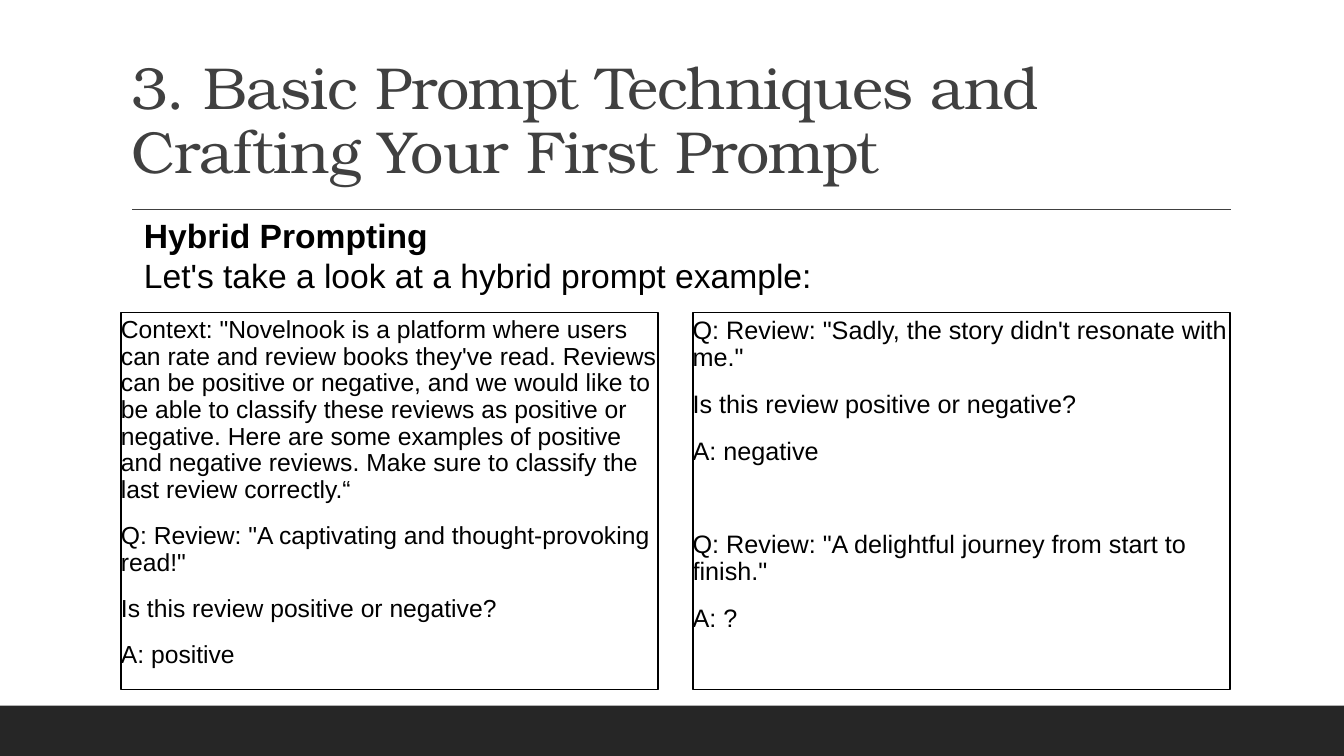
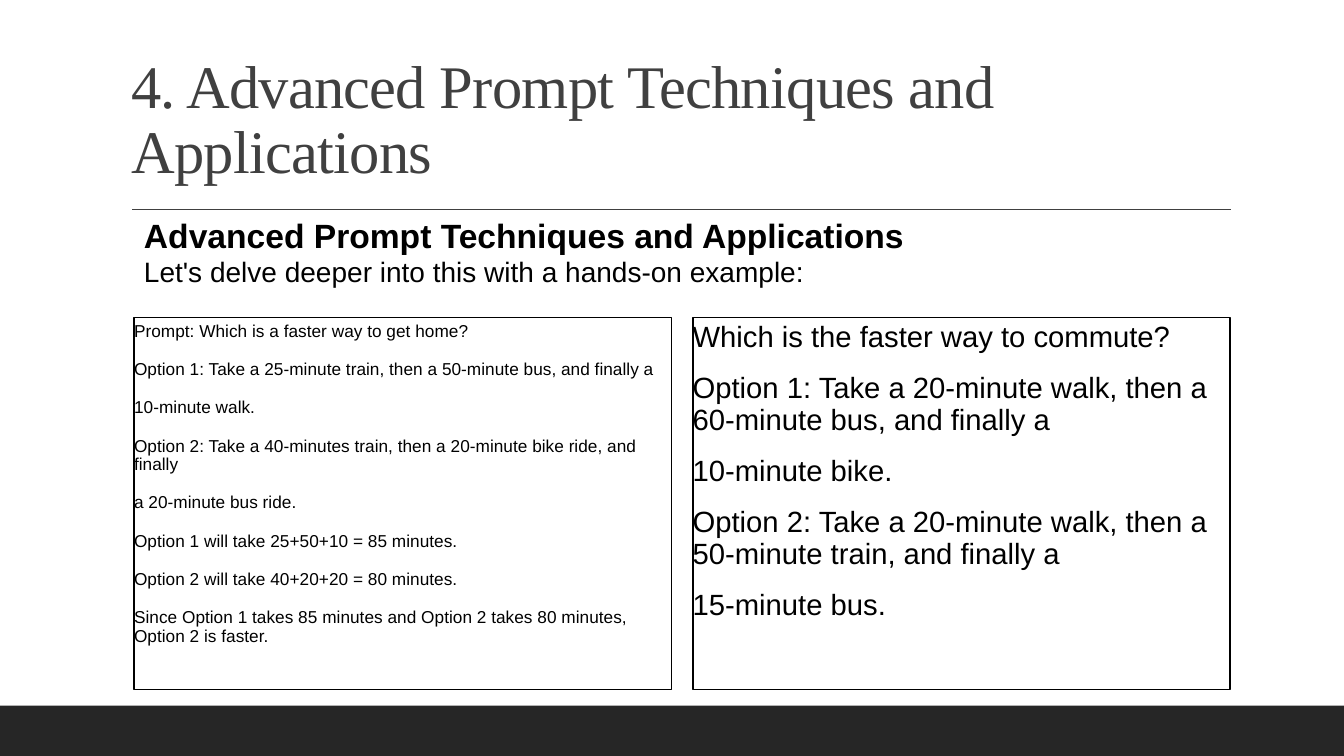
from lxml import etree
from pptx import Presentation
from pptx.dml.color import RGBColor
from pptx.enum import shapes, text
from pptx.oxml.ns import qn
from pptx.util import Inches, Pt

COLORS = {"band": "262626", "title": "404040", "text": "000000", "paper": "FFFFFF"}
BODY_FONT = "Arial"
SLIDE_W, SLIDE_H = 13.33, 7.5
BAND_H = 0.5
BOX_W, BOX_BOTTOM, RIGHT_BOX_X = 5.33, 6.84, 6.87

# Each example paragraph is text, or (text, space before in points)
SLIDES = [
    {
        "title": "3. Basic Prompt Techniques and Crafting Your First Prompt",
        "title_font": "TeX Gyre Bonum", "title_size": 42.3,
        "topic": "Hybrid Prompting",
        "lead": "Let's take a look at a hybrid prompt example:", "lead_size": 24,
        "left_x": 1.2, "box_y": 3.1, "left_size": 17.6, "right_size": 18,
        "left": [
            "Context: \"Novelnook is a platform where users can rate and review "
            "books they've read. Reviews can be positive or negative, and we would "
            "like to be able to classify these reviews as positive or negative. "
            "Here are some examples of positive and negative reviews. Make sure to "
            "classify the last review correctly.“",
            "Q: Review: \"A captivating and thought-provoking read!\"",
            "Is this review positive or negative?",
            "A: positive",
        ],
        "right": [
            "Q: Review: \"Sadly, the story didn't resonate with me.\"",
            "Is this review positive or negative?",
            "A: negative",
            ("Q: Review: \"A delightful journey from start to finish.\"", 45),
            "A: ?",
        ],
    },
    {
        "title": "4. Advanced Prompt Techniques and Applications",
        "title_font": "Times New Roman", "title_size": 43.2,
        "topic": "Advanced Prompt Techniques and Applications",
        "lead": "Let's delve deeper into this with a hands-on example:", "lead_size": 20,
        "left_x": 1.33, "box_y": 3.15, "left_size": 12.3, "right_size": 20.9,
        "left": [
            "Prompt: Which is a faster way to get home?",
            "Option 1: Take a 25-minute train, then a 50-minute bus, and finally a",
            "10-minute walk.",
            "Option 2: Take a 40-minutes train, then a 20-minute bike ride, and finally",
            "a 20-minute bus ride.",
            "Option 1 will take 25+50+10 = 85 minutes.",
            "Option 2 will take 40+20+20 = 80 minutes.",
            "Since Option 1 takes 85 minutes and Option 2 takes 80 minutes, "
            "Option 2 is faster.",
        ],
        "right": [
            "Which is the faster way to commute?",
            "Option 1: Take a 20-minute walk, then a 60-minute bus, and finally a",
            "10-minute bike.",
            "Option 2: Take a 20-minute walk, then a 50-minute train, and finally a",
            "15-minute bus.",
        ],
    },
]


def rgb(name):
    return RGBColor.from_string(COLORS[name])


def add_run(paragraph, words, size, font=BODY_FONT, color="text", bold=False):
    run = paragraph.add_run()
    run.text = words
    run.font.name = font
    run.font.size = Pt(size)
    run.font.bold = bold
    run.font.color.rgb = rgb(color)
    return run


def paragraphs(frame, items):
    """Pair each item with a paragraph, using the frame's first one."""
    for index, item in enumerate(items):
        yield frame.add_paragraph() if index else frame.paragraphs[0], item


def add_rect(slide, x, y, w, h, fill):
    rect = slide.shapes.add_shape(
        shapes.MSO_SHAPE.RECTANGLE, Inches(x), Inches(y), Inches(w), Inches(h))
    rect.shadow.inherit = False
    rect.fill.solid()
    rect.fill.fore_color.rgb = rgb(fill)
    return rect


def add_frame(slide):
    """Bottom band and the rule under the title."""
    band = add_rect(slide, 0, SLIDE_H - BAND_H, SLIDE_W, BAND_H, "band")
    band.line.fill.background()
    rule = slide.shapes.add_connector(
        shapes.MSO_CONNECTOR.STRAIGHT,
        Inches(1.31), Inches(2.08), Inches(12.21), Inches(2.08))
    rule.line.color.rgb = rgb("title")
    rule.line.width = Pt(1)
    etree.SubElement(rule._element.spPr, qn("a:effectLst"))


def set_title(slide, words, font, size):
    title = slide.shapes.title
    title.left, title.top = Inches(1.2), Inches(1.17)
    title.width, title.height = Inches(11), Inches(0.73)
    frame = title.text_frame
    frame.word_wrap = True
    frame.auto_size = text.MSO_AUTO_SIZE.NONE
    frame.vertical_anchor = text.MSO_ANCHOR.BOTTOM
    heading = frame.paragraphs[0]
    heading.alignment = text.PP_ALIGN.LEFT
    heading.line_spacing = 0.9
    heading.space_before = Pt(0)
    run = add_run(heading, words, size, font, "title")
    run._r.get_or_add_rPr().set("spc", "-50")


def add_intro(slide, topic, lead, lead_size):
    intro = slide.shapes.add_textbox(
        Inches(1.33), Inches(2.08), Inches(10.77), Inches(0.91))
    frame = intro.text_frame
    frame.word_wrap = True
    lines = [(topic, 24, True), (lead, lead_size, False)]
    for paragraph, (words, size, bold) in paragraphs(frame, lines):
        add_run(paragraph, words, size, bold=bold)


def add_example(slide, x, y, lines, size):
    example = add_rect(slide, x, y, BOX_W, BOX_BOTTOM - y, "paper")
    example.line.color.rgb = rgb("text")
    example.line.width = Pt(1.25)
    frame = example.text_frame
    frame.word_wrap = True
    frame.vertical_anchor = text.MSO_ANCHOR.TOP
    frame.margin_left = frame.margin_right = 0
    frame.margin_top = frame.margin_bottom = Inches(0.05)
    for paragraph, line in paragraphs(frame, lines):
        words, before = line if isinstance(line, tuple) else (line, 12)
        paragraph.alignment = text.PP_ALIGN.LEFT
        paragraph.line_spacing = 0.9
        paragraph.space_before = Pt(before)
        paragraph.space_after = Pt(2)
        add_run(paragraph, words, size)


def main():
    deck = Presentation()
    deck.slide_width, deck.slide_height = Inches(SLIDE_W), Inches(SLIDE_H)
    title_only = deck.slide_layouts[5]
    for content in SLIDES:
        slide = deck.slides.add_slide(title_only)
        add_frame(slide)
        set_title(slide, content["title"], content["title_font"], content["title_size"])
        add_intro(slide, content["topic"], content["lead"], content["lead_size"])
        # Two example boxes side by side
        for side, x in (("left", content["left_x"]), ("right", RIGHT_BOX_X)):
            add_example(slide, x, content["box_y"], content[side], content[side + "_size"])
    deck.save("out.pptx")


if __name__ == "__main__":
    main()
